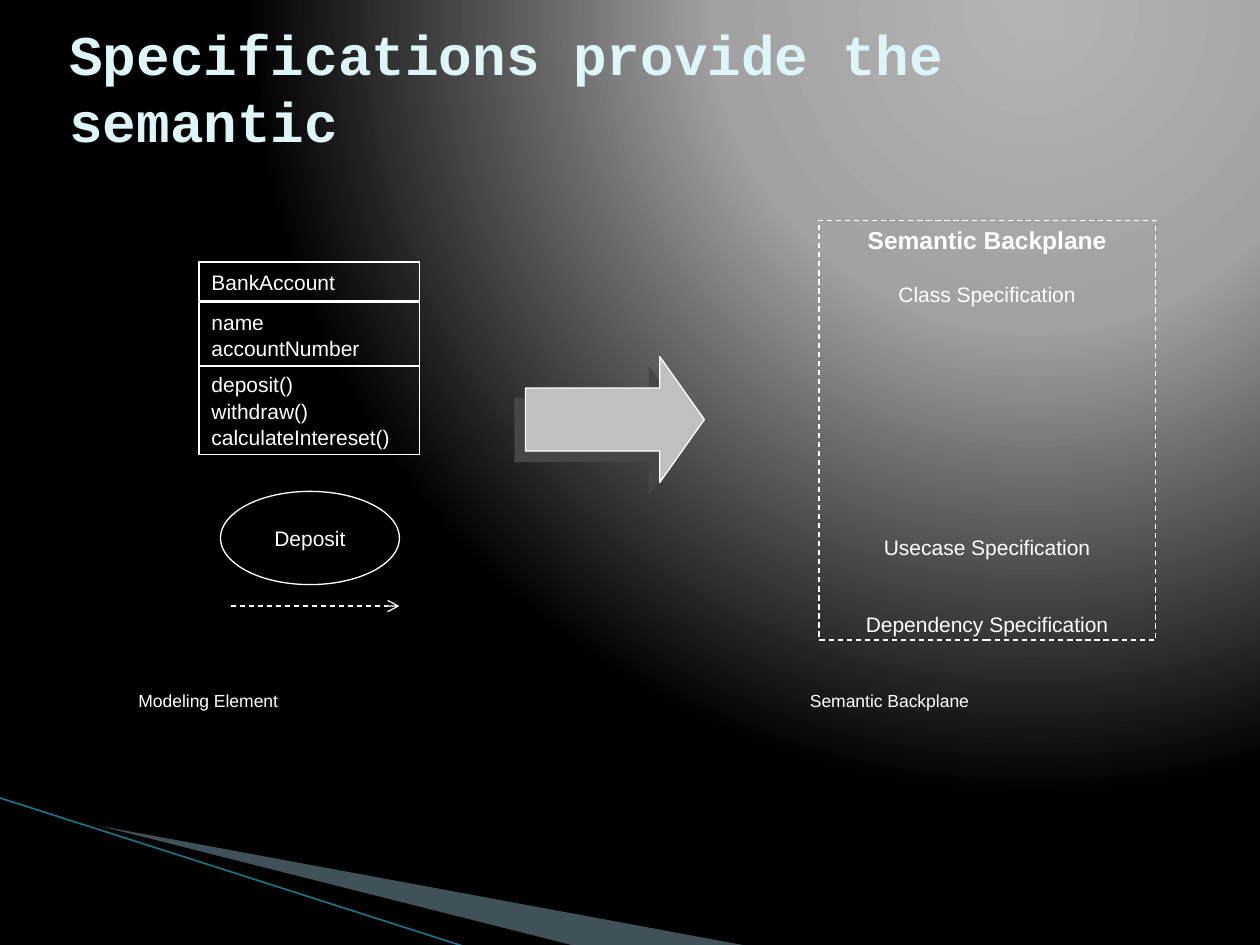
"""Build a slide that links modeling elements to their semantic specifications."""
import lxml.etree
import pptx
import pptx.dml.color
import pptx.enum.dml
import pptx.enum.shapes
import pptx.enum.text
import pptx.oxml
import pptx.oxml.ns
import pptx.util

Inches = pptx.util.Inches
Pt = pptx.util.Pt
Shape = pptx.enum.shapes.MSO_SHAPE
Align = pptx.enum.text.PP_ALIGN
Anchor = pptx.enum.text.MSO_ANCHOR
DASH = pptx.enum.dml.MSO_LINE.DASH
NAMESPACE = 'xmlns:a="http://schemas.openxmlformats.org/drawingml/2006/main"'
WHITE = "FFFFFF"


def color(value):
    """Return the colour for a hex string."""
    return pptx.dml.color.RGBColor.from_string(value)


def add_child(parent, tag, **attributes):
    """Append a drawing element with the given attributes."""
    child = lxml.etree.SubElement(parent, pptx.oxml.ns.qn(tag))
    for name, value in attributes.items():
        child.set(name, str(value))
    return child


def set_background(slide):
    """Give the slide a radial gradient that shines from the top right."""
    slide.background.fill.gradient()
    old = slide.background._cSld.bg.bgPr.find(pptx.oxml.ns.qn("a:gradFill"))
    stops = "".join(
        f'<a:gs pos="{position}000"><a:srgbClr val="{value}"/></a:gs>'
        for position, value in ((0, "B4B4B4"), (40, "A2A2A2"), (100, "000000")))
    gradient = pptx.oxml.parse_xml(
        f'<a:gradFill {NAMESPACE} rotWithShape="1"><a:gsLst>{stops}</a:gsLst>'
        '<a:path path="circle"><a:fillToRect l="65000" t="0" r="0" b="98000"/></a:path>'
        '</a:gradFill>')
    old.getparent().replace(old, gradient)


def style_line(line, value=WHITE, width=0.75, dash=None):
    """Set colour, width and dash of a line."""
    line.color.rgb = color(value)
    line.width = Pt(width)
    if dash:
        line.dash_style = dash


def write_paragraphs(frame, texts, size=12, bold=False, align=Align.LEFT,
                     font="Arial", value=WHITE, spacing=1.05):
    """Write one paragraph per text and return the paragraphs."""
    for index, text in enumerate(texts):
        paragraph = frame.paragraphs[0] if index == 0 else frame.add_paragraph()
        paragraph.alignment = align
        paragraph.line_spacing = spacing
        run = paragraph.add_run()
        run.text = text
        run.font.name = font
        run.font.size = Pt(size)
        run.font.bold = bold
        run.font.color.rgb = color(value)
    return frame.paragraphs


def add_box(shapes, kind, left, top, width, height, texts=(), align=Align.LEFT,
            fill=None, dash=None):
    """Add an outlined preset shape with text in its middle."""
    shape = shapes.add_shape(kind, Inches(left), Inches(top), Inches(width), Inches(height))
    shape.shadow.inherit = False
    if fill:
        shape.fill.solid()
        shape.fill.fore_color.rgb = color(fill)
    else:
        shape.fill.background()
    style_line(shape.line, dash=dash)
    shape.text_frame.word_wrap = True
    shape.text_frame.vertical_anchor = Anchor.MIDDLE
    write_paragraphs(shape.text_frame, texts, align=align)
    return shape


def add_line(shapes, start, end, value=WHITE, width=0.75, dash=None, arrow=False):
    """Add a straight line, with an open arrowhead if asked."""
    connector = shapes.add_connector(
        pptx.enum.shapes.MSO_CONNECTOR.STRAIGHT, *map(Inches, start + end))
    style_line(connector.line, value, width, dash)
    if arrow:
        add_child(connector.line._get_or_add_ln(), "a:tailEnd", type="arrow")
    add_child(connector._element.spPr, "a:effectLst")


def add_polygon(shapes, points, fill, opacity=100):
    """Add a closed filled outline."""
    corners = [tuple(map(Inches, point)) for point in points]
    builder = shapes.build_freeform(*corners[0])
    builder.add_line_segments(corners[1:], close=True)
    shape = builder.convert_to_shape()
    shape.shadow.inherit = False
    shape.line.fill.background()
    shape.fill.solid()
    shape.fill.fore_color.rgb = color(fill)
    if opacity < 100:
        solid = shape._element.spPr.find(pptx.oxml.ns.qn("a:solidFill"))
        add_child(solid[0], "a:alpha", val=opacity * 1000)


def add_label(shapes, left, width, text):
    """Add a caption under one half of the diagram."""
    box = shapes.add_textbox(Inches(left), Inches(5.42), Inches(width), Inches(0.5))
    box.text_frame.word_wrap = True
    write_paragraphs(box.text_frame, [text], size=10)


def add_corner_decoration(shapes):
    """Draw the slanted wedges and the thin line at the bottom left."""
    add_polygon(shapes, [(0.55, 6.51), (5.95, 7.51), (4.56, 7.51), (0.55, 6.5)], "A0CBDC", 40)
    add_polygon(shapes, [(0.53, 6.49), (4.57, 7.51), (3.72, 7.52), (0.54, 6.5)], "000000")
    add_line(shapes, (-0.01, 6.33), (3.71, 7.52), "1A7288", 0.95)


def set_title(title, text):
    """Place and format the title placeholder."""
    title.left, title.top, title.width, title.height = map(Inches, (0.45, 0.27, 8.86, 0.83))
    frame = title.text_frame
    frame.word_wrap = True
    frame.auto_size = pptx.enum.text.MSO_AUTO_SIZE.NONE
    frame.vertical_anchor = Anchor.MIDDLE
    write_paragraphs(frame, [text], 32, True, font="Courier New", value="DEF5FA", spacing=1)


def add_class_box(shapes):
    """Draw the class with its name, attributes and operations."""
    group = shapes.add_group_shape()
    for top, height, texts in (
            (2.08, 0.31, ["BankAccount"]),
            (2.4, 0.51, ["name", "accountNumber"]),
            (2.9, 0.71, ["deposit()", "withdraw()", "calculateIntereset()"])):
        add_box(group.shapes, Shape.RECTANGLE, 1.58, top, 1.75, height, texts)


def add_use_case(shapes):
    """Draw the use case and the dependency arrow below it."""
    group = shapes.add_group_shape()
    add_box(group.shapes, Shape.OVAL, 1.75, 3.9, 1.42, 0.74, ["Deposit"], Align.CENTER)
    add_line(group.shapes, (1.83, 4.81), (3.17, 4.81), dash=DASH, arrow=True)


def add_block_arrow(shapes):
    """Draw the block arrow with its hard shadow."""
    arrow = add_box(shapes, Shape.RIGHT_ARROW, 4.17, 2.83, 1.42, 1, fill="C0C0C0")
    arrow.adjustments[0] = 0.5
    arrow.adjustments[1] = 0.354
    effects = arrow._element.spPr.find(pptx.oxml.ns.qn("a:effectLst"))
    shadow = add_child(effects, "a:outerShdw", dist=Pt(8.5), dir=135 * 60000,
                       algn="ctr", rotWithShape=0)
    add_child(shadow, "a:srgbClr", val="464646")


def add_backplane(shapes):
    """Draw the dashed backplane with its specifications."""
    texts = ["Semantic Backplane", "Class Specification",
             "Usecase Specification", "Dependency Specification"]
    box = add_box(shapes, Shape.RECTANGLE, 6.5, 1.75, 2.67, 3.33, texts, Align.CENTER, dash=DASH)
    paragraphs = box.text_frame.paragraphs
    for paragraph, empty_lines in zip(paragraphs, (0, 1, 9, 2)):
        paragraph.space_before = Pt(14.4 * empty_lines)
    heading = paragraphs[0].runs[0].font
    heading.size = Pt(14)
    heading.bold = True


def main():
    """Build and save the presentation."""
    presentation = pptx.Presentation()
    presentation.slide_width = Inches(10)
    presentation.slide_height = Inches(7.5)
    slide = presentation.slides.add_slide(presentation.slide_layouts[5])
    shapes = slide.shapes
    set_background(slide)
    add_corner_decoration(shapes)
    set_title(shapes.title, "Specifications provide the semantic")
    add_class_box(shapes)
    add_use_case(shapes)
    add_block_arrow(shapes)
    add_label(shapes, 1, 2.82, "Modeling Element")
    add_label(shapes, 6.33, 3.14, "Semantic Backplane")
    add_backplane(shapes)
    presentation.save("out.pptx")


if __name__ == "__main__":
    main()
